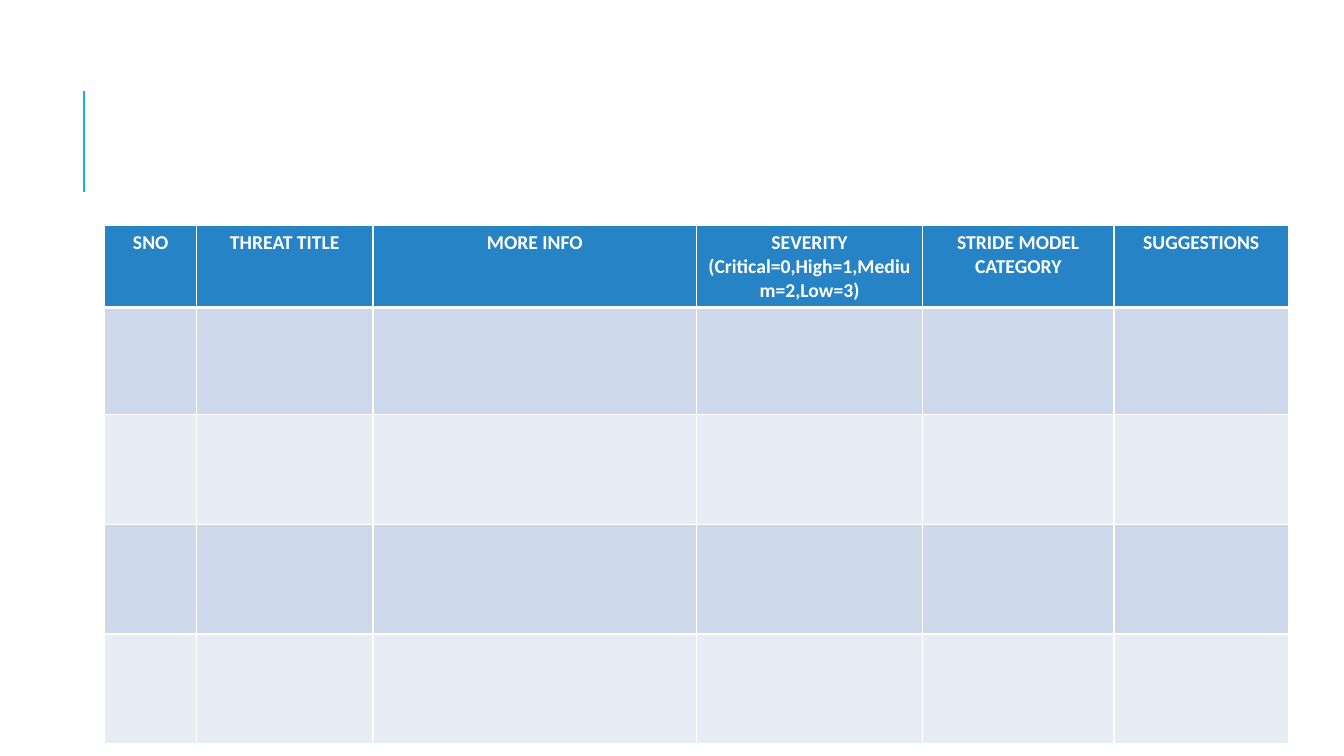
from dataclasses import dataclass

from lxml.etree import SubElement
from pptx import Presentation
from pptx.dml.color import RGBColor
from pptx.enum.shapes import MSO_CONNECTOR
from pptx.enum.text import PP_ALIGN
from pptx.oxml.ns import qn
from pptx.util import Inches, Pt

WHITE = RGBColor(0xFF, 0xFF, 0xFF)
ACCENT = RGBColor(0x1C, 0xAD, 0xE4)
HEADER_BLUE = RGBColor(0x26, 0x83, 0xC6)
BAND_COLORS = (RGBColor(0xCD, 0xD9, 0xEA), RGBColor(0xE8, 0xED, 0xF5))
HEADER_FONT = {"name": "Calibri", "size": Pt(14), "bold": True}


@dataclass
class Column:
    title: str
    width: float


COLUMNS = [
    Column("SNO", 0.91),
    Column("THREAT TITLE", 1.75),
    Column("MORE INFO", 3.21),
    Column("SEVERITY\n(Critical=0,High=1,Medium=2,Low=3)", 2.24),
    Column("STRIDE MODEL CATEGORY", 1.9),
    Column("SUGGESTIONS", 1.73),
]
ROW_HEIGHTS = [0.62, 1.06, 1.09, 1.09, 1.09]


def add_title_rule(slide) -> None:
    rule = slide.shapes.add_connector(
        MSO_CONNECTOR.STRAIGHT, Inches(0.83), Inches(1.9), Inches(0.83), Inches(0.9))
    rule.line.color.rgb = ACCENT
    rule.line.width = Pt(1.5)
    SubElement(rule._element.spPr, qn("a:effectLst"))


def style_cell(cell, fill: RGBColor, top: float, bottom: float) -> None:
    # Borders must come before the fill in the cell properties
    properties = cell._tc.get_or_add_tcPr()
    for side, width in {"L": 1, "R": 1, "T": top, "B": bottom}.items():
        border = SubElement(properties, qn(f"a:ln{side}"), w=str(Pt(width)))
        solid = SubElement(border, qn("a:solidFill"))
        SubElement(solid, qn("a:srgbClr"), val=str(WHITE))
    cell.fill.solid()
    cell.fill.fore_color.rgb = fill


def write_header(cell, title: str) -> None:
    cell.text_frame.text = title
    for paragraph in cell.text_frame.paragraphs:
        paragraph.alignment = PP_ALIGN.CENTER
        for attribute, value in HEADER_FONT.items():
            setattr(paragraph.font, attribute, value)
            setattr(paragraph.runs[0].font, attribute, value)
        paragraph.runs[0].font.color.rgb = WHITE


def add_threat_table(slide) -> None:
    total_width = sum(column.width for column in COLUMNS)
    table = slide.shapes.add_table(
        len(ROW_HEIGHTS), len(COLUMNS), Inches(1.04), Inches(2.24),
        Inches(total_width), Inches(sum(ROW_HEIGHTS))).table
    for table_column, column in zip(table.columns, COLUMNS):
        table_column.width = Inches(column.width)
    for row_index, height in enumerate(ROW_HEIGHTS):
        row = table.rows[row_index]
        row.height = Inches(height)
        fill = BAND_COLORS[(row_index - 1) % 2] if row_index else HEADER_BLUE
        top = 3 if row_index == 1 else 1
        bottom = 3 if row_index == 0 else 1
        for cell in row.cells:
            style_cell(cell, fill, top, bottom)
    for cell, column in zip(table.rows[0].cells, COLUMNS):
        write_header(cell, column.title)


def main() -> None:
    presentation = Presentation()
    presentation.slide_width = Inches(13.33)
    presentation.slide_height = Inches(7.5)
    slide = presentation.slides.add_slide(presentation.slide_layouts[6])
    # Accent rule beside the title area
    add_title_rule(slide)
    # Threat list with a header and empty banded rows
    add_threat_table(slide)
    presentation.save("out.pptx")


if __name__ == "__main__":
    main()
